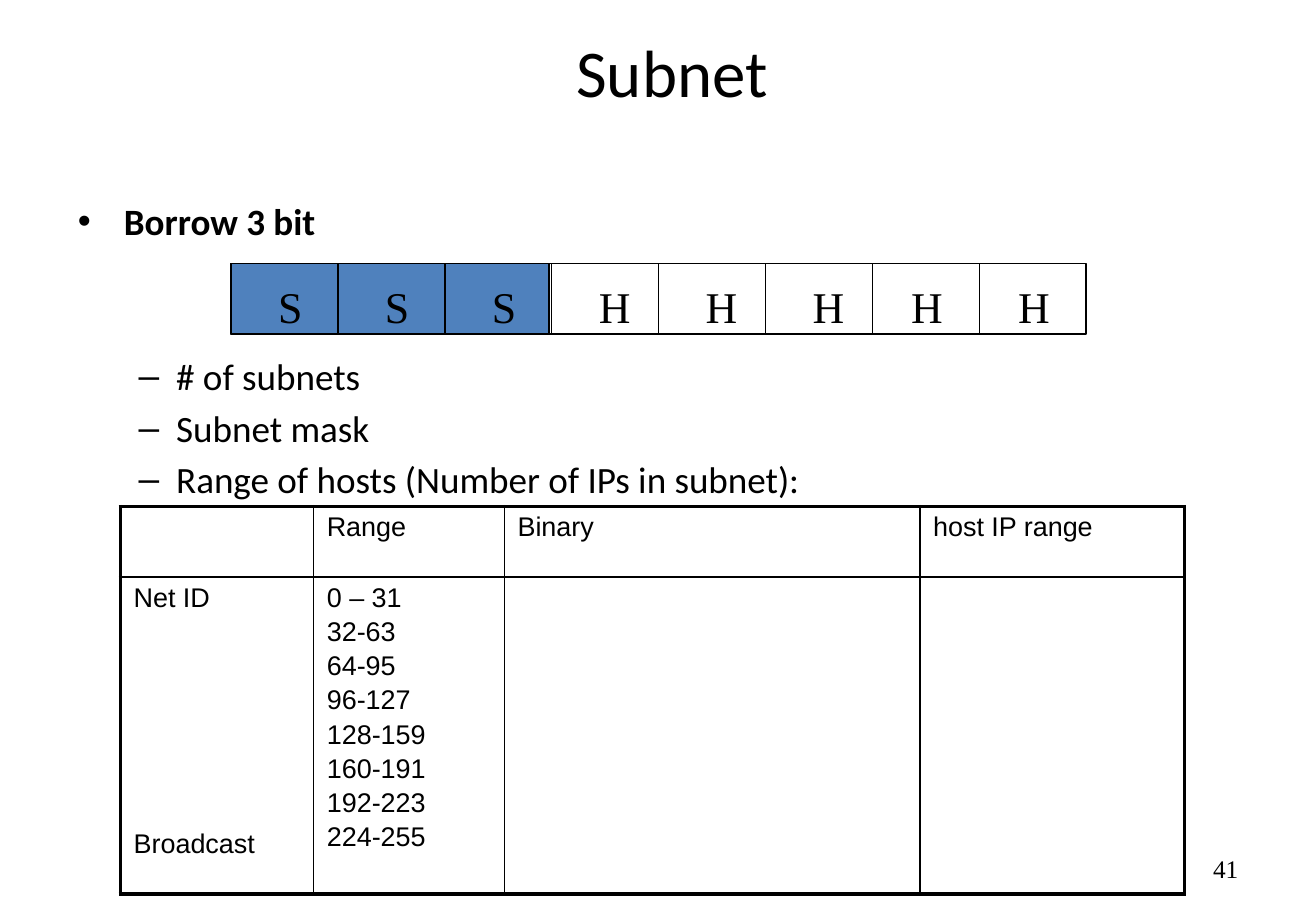
from lxml.etree import SubElement
from pptx import Presentation
from pptx.dml.color import RGBColor
from pptx.enum.shapes import MSO_CONNECTOR, MSO_SHAPE
from pptx.enum.text import MSO_ANCHOR, MSO_AUTO_SIZE, PP_ALIGN
from pptx.oxml import parse_xml
from pptx.oxml.ns import nsdecls, qn
from pptx.util import Pt

PX = 9144
BLACK = RGBColor(0x00, 0x00, 0x00)
BLUE = RGBColor(0x4F, 0x81, 0xBD)
BITS = "SSSHHHHH"
BIT_WIDTH = 88
COLUMN_WIDTHS = [159, 157, 342, 218]
ROW_HEIGHTS = [58, 261]
RANGES = ["0 – 31", "32-63", "64-95", "96-127", "128-159", "160-191", "192-223", "224-255"]
TABLE_ROWS = [
    [[], ["Range"], ["Binary"], ["host IP range"]],
    [["Net ID", "Broadcast"], RANGES, [], []],
]


def emu(*lengths):
    """Turn px lengths into EMU."""
    return [length * PX for length in lengths]


def place(shape, box):
    """Move a shape to a box given in px."""
    shape.left, shape.top, shape.width, shape.height = emu(*box)


def write_text(frame, text, font="Calibri", size=22, bold=False, align=PP_ALIGN.LEFT,
               before=0, bullet=None, margin=0, hanging=0):
    """Fill the first empty paragraph of a frame, or add one, with formatted text."""
    paragraph = frame.paragraphs[-1]
    if paragraph.runs:
        paragraph = frame.add_paragraph()
    if bullet:
        properties = paragraph._p.get_or_add_pPr()
        properties.set("marL", str(margin * PX))
        properties.set("indent", str(-hanging * PX))
        SubElement(properties, qn("a:buFont")).set("typeface", "Arial")
        SubElement(properties, qn("a:buChar")).set("char", bullet)
    paragraph.alignment = align
    paragraph.space_before = Pt(before)
    run = paragraph.add_run()
    run.text = text
    run.font.name = font
    run.font.size = Pt(size)
    run.font.bold = bold
    run.font.color.rgb = BLACK


def add_title(slide, box):
    """Place and fill the title."""
    title = slide.shapes.title
    place(title, box)
    title.text_frame.auto_size = MSO_AUTO_SIZE.NONE
    title.text_frame.vertical_anchor = MSO_ANCHOR.MIDDLE
    write_text(title.text_frame, "Subnet", size=39.6, align=PP_ALIGN.CENTER)


def add_body(slide, box):
    """Place the list, leaving room for the bit row under its first line."""
    body = slide.placeholders[1]
    place(body, box)
    frame = body.text_frame
    frame.auto_size = MSO_AUTO_SIZE.NONE
    write_text(frame, "Borrow 3 bit", bold=True, bullet="•", margin=38, hanging=38)
    items = ["# of subnets", "Subnet mask", "Range of hosts (Number of IPs in subnet):"]
    for text, before in zip(items, [66, 4, 4]):
        write_text(frame, text, before=before, bullet="–", margin=81, hanging=31)
    for paragraph in frame.paragraphs[1:]:
        paragraph.level = 1


def add_rectangle(shapes, box, color=None):
    """Add an outlined rectangle, filled when a colour is given."""
    rectangle = shapes.add_shape(MSO_SHAPE.RECTANGLE, *emu(*box))
    rectangle.shadow.inherit = False
    if color is None:
        rectangle.fill.background()
    else:
        rectangle.fill.solid()
        rectangle.fill.fore_color.rgb = color
    rectangle.line.color.rgb = BLACK
    rectangle.line.width = Pt(1)
    return rectangle


def add_bit_row(slide, box):
    """Draw the octet with its subnet and host bits."""
    left, top, width, height = box
    shapes = slide.shapes.add_group_shape().shapes
    add_rectangle(shapes, (left, top, 3 * BIT_WIDTH - 2, height), BLUE)
    octet = add_rectangle(shapes, box)
    for index in range(1, len(BITS)):
        x = left + index * BIT_WIDTH
        divider = shapes.add_connector(MSO_CONNECTOR.STRAIGHT, *emu(x, top, x, top + height))
        divider.line.color.rgb = BLACK
        divider.line.width = Pt(1)
        SubElement(divider._element.spPr, qn("a:effectLst"))
        if 2 * index == len(BITS):
            divider.begin_connect(octet, 0)
            divider.end_connect(octet, 2)
    for index, bit in enumerate(BITS):
        x = left + 29 + index * BIT_WIDTH - (7 if index > 5 else 0)
        label = shapes.add_textbox(*emu(x, top + 8, 40 if bit == "S" else 46, 54))
        label.text_frame.word_wrap = False
        label.text_frame.auto_size = MSO_AUTO_SIZE.SHAPE_TO_FIT_TEXT
        write_text(label.text_frame, bit, font="Times New Roman", size=26)


def set_borders(cell, thick_sides):
    """Draw all four borders of a cell, the named ones thick."""
    properties = cell._tc.get_or_add_tcPr()
    for position, side in enumerate("LRTB"):
        width = Pt(2.25 if side in thick_sides else 1)
        properties.insert(position, parse_xml(
            f'<a:ln{side} {nsdecls("a")} w="{width}"><a:solidFill>'
            f'<a:srgbClr val="{BLACK}"/></a:solidFill></a:ln{side}>'))


def add_range_table(slide, box):
    """Add the table of address ranges."""
    table = slide.shapes.add_table(len(ROW_HEIGHTS), len(COLUMN_WIDTHS), *emu(*box)).table
    table.first_row = table.horz_banding = False
    for column, width in zip(table.columns, COLUMN_WIDTHS):
        column.width = width * PX
    for row_index, row in enumerate(TABLE_ROWS):
        table.rows[row_index].height = ROW_HEIGHTS[row_index] * PX
        for column_index, lines in enumerate(row):
            cell = table.cell(row_index, column_index)
            cell.fill.background()
            cell.margin_left = cell.margin_right = 11 * PX
            cell.margin_top = cell.margin_bottom = 5 * PX
            sides = "TB"[row_index]
            sides += {0: "L", len(row) - 1: "R"}.get(column_index, "")
            set_borders(cell, sides)
            for index, text in enumerate(lines):
                gap = 128 if text == "Broadcast" else 2.5
                write_text(cell.text_frame, text, font="Arial", size=16,
                           before=gap if index else 0)


def add_page_number(slide, box):
    """Add the page number."""
    frame = slide.shapes.add_textbox(*emu(*box)).text_frame
    frame.word_wrap = True
    frame.vertical_anchor = MSO_ANCHOR.MIDDLE
    write_text(frame, "41", font="Times New Roman", size=15, align=PP_ALIGN.RIGHT)


def main():
    """Build and save the subnet slide."""
    presentation = Presentation()
    presentation.slide_width, presentation.slide_height = emu(1083, 750)
    slide = presentation.slides.add_slide(presentation.slide_layouts[1])
    add_title(slide, (90, 25, 926, 67))
    add_body(slide, (54, 158, 1029, 525))
    add_bit_row(slide, (190, 217, len(BITS) * BIT_WIDTH, 58))
    add_range_table(slide, (99, 417, sum(COLUMN_WIDTHS), sum(ROW_HEIGHTS)))
    add_page_number(slide, (776, 695, 253, 40))
    presentation.save("out.pptx")


if __name__ == "__main__":
    main()
